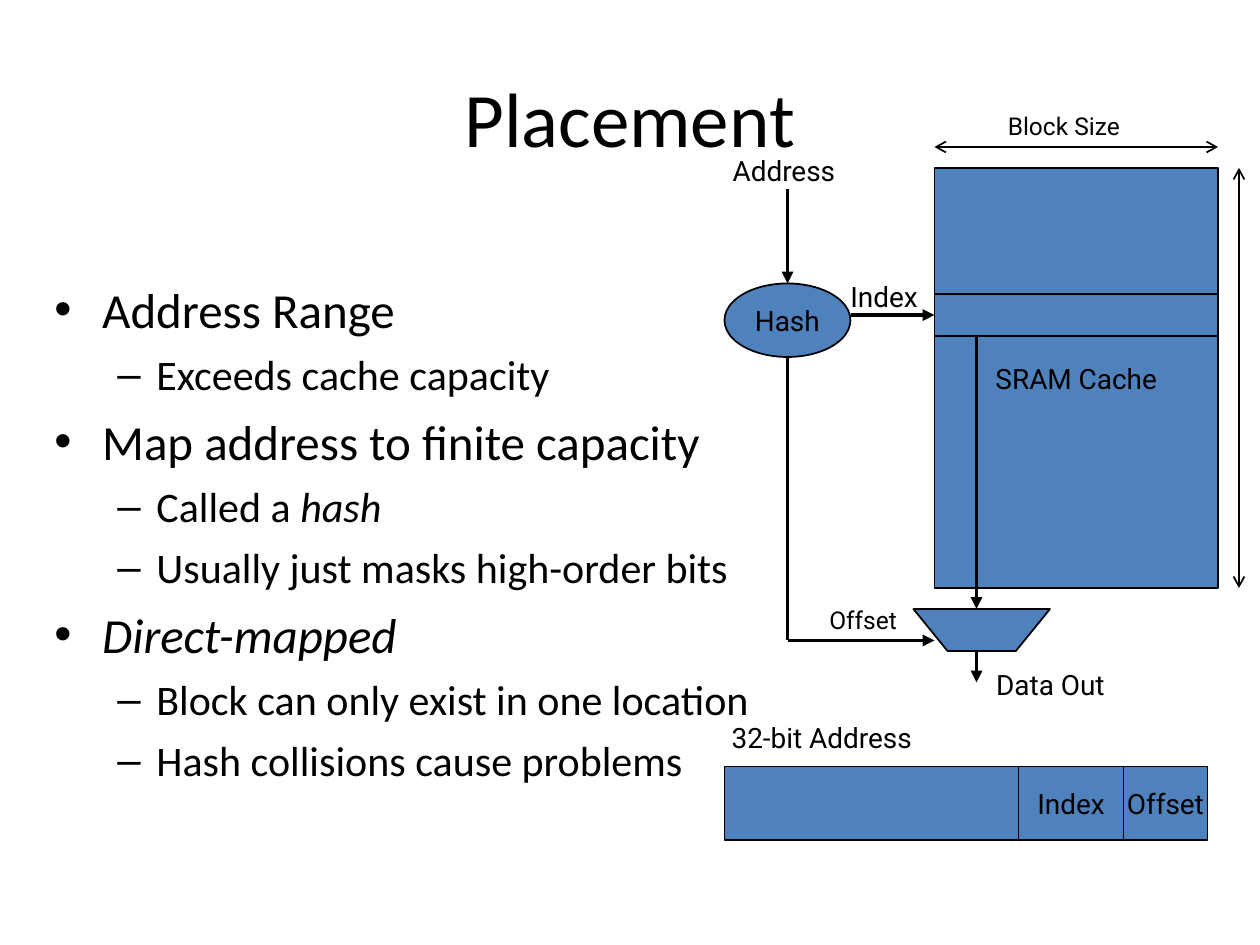
from collections import namedtuple

from lxml import etree
from pptx import Presentation
from pptx.dml.color import RGBColor
from pptx.enum.shapes import MSO_CONNECTOR, MSO_SHAPE
from pptx.enum.text import MSO_ANCHOR, MSO_AUTO_SIZE, PP_ALIGN
from pptx.oxml.ns import qn
from pptx.util import Inches, Pt

RECTANGLE, OVAL = MSO_SHAPE.RECTANGLE, MSO_SHAPE.OVAL
STRAIGHT = MSO_CONNECTOR.STRAIGHT
MIDDLE, CENTER = MSO_ANCHOR.MIDDLE, PP_ALIGN.CENTER
GROW = MSO_AUTO_SIZE.SHAPE_TO_FIT_TEXT
LEFT_SIDE = 1

CELL = Inches(1) / 12
COLUMNS, ROWS = 120, 90
BLUE, BLACK = "4F81BD", "000000"
TITLE_FONT, LABEL_FONT = "Calibri", "Roboto"
THIN, THICK = 1, 2.25

Box = namedtuple("Box", "left top width height")

BULLETS = [
    (0, [("Address Range", False)]),
    (1, [("Exceeds cache capacity", False)]),
    (0, [("Map address to finite capacity", False)]),
    (1, [("Called a ", False), ("hash", True)]),
    (1, [("Usually just masks high-order bits", False)]),
    (0, [("Direct-mapped", True)]),
    (1, [("Block can only exist in one location", False)]),
    (1, [("Hash collisions cause problems", False)]),
]
LEVELS = [
    {"size": 28, "before": 7, "margin": 0.38, "indent": -0.38, "bullet": "•"},
    {"size": 24, "before": 6, "margin": 0.81, "indent": -0.31, "bullet": "–"},
]


def color(value):
    """Turn a hex string into a colour."""
    return RGBColor.from_string(value)


def cells(*values):
    """Turn grid cells into slide lengths."""
    return [round(value * CELL) for value in values]


def inside(box, left, top, width, height):
    """Return a box placed relative to the corner of another."""
    return Box(box.left + left, box.top + top, width, height)


def format_run(run, size, font, italic=False):
    """Set the font of one run."""
    run.font.size = Pt(size)
    run.font.name = font
    run.font.italic = italic
    run.font.color.rgb = color(BLACK)


def paint(shape):
    """Give a shape the diagram's fill and outline."""
    shape.shadow.inherit = False
    shape.fill.solid()
    shape.fill.fore_color.rgb = color(BLUE)
    shape.line.color.rgb = color(BLACK)
    shape.line.width = Pt(THIN)


def write_line(shape, text, size, font):
    """Write one unwrapped line of text."""
    shape.text_frame.word_wrap = False
    paragraph = shape.text_frame.paragraphs[0]
    paragraph.text = text
    format_run(paragraph.runs[0], size, font)
    return paragraph


def add_block(slide, kind, box, text=""):
    """Add a filled shape with optional centred text."""
    shape = slide.shapes.add_shape(kind, *cells(*box))
    paint(shape)
    if text:
        shape.text_frame.vertical_anchor = MIDDLE
        write_line(shape, text, 16, LABEL_FONT).alignment = CENTER
    return shape


def add_label(slide, box, text, size=16):
    """Add a free-standing label."""
    shape = slide.shapes.add_textbox(*cells(*box))
    write_line(shape, text, size, LABEL_FONT)
    shape.text_frame.auto_size = GROW


def add_line(slide, box, ends, width=THICK, head=None, tail="triangle"):
    """Add a line between two points of a box's grid."""
    x1, y1, x2, y2 = ends
    points = cells(box.left + x1, box.top + y1, box.left + x2, box.top + y2)
    connector = slide.shapes.add_connector(STRAIGHT, *points)
    connector.line.color.rgb = color(BLACK)
    connector.line.width = Pt(width)
    properties = connector._element.spPr
    outline = properties.find(qn("a:ln"))
    for tag, arrow in (("a:headEnd", head), ("a:tailEnd", tail)):
        if arrow:
            etree.SubElement(outline, qn(tag), type=arrow)
    etree.SubElement(properties, qn("a:effectLst"))
    return connector


def add_title(slide, box):
    """Add the centred title."""
    shape = slide.shapes.add_textbox(*cells(*box))
    shape.text_frame.vertical_anchor = MIDDLE
    write_line(shape, "Placement", 44, TITLE_FONT).alignment = CENTER
    shape.text_frame.word_wrap = True


def add_bullets(slide, box):
    """Add the two-level bullet list."""
    frame = slide.shapes.add_textbox(*cells(*box)).text_frame
    frame.word_wrap = True
    for number, (level, pieces) in enumerate(BULLETS):
        paragraph = frame.add_paragraph() if number else frame.paragraphs[0]
        style = LEVELS[level]
        paragraph.level = level
        paragraph.space_before = Pt(style["before"])
        for text, italic in pieces:
            run = paragraph.add_run()
            run.text = text
            format_run(run, style["size"], TITLE_FONT, italic)
        properties = paragraph._p.get_or_add_pPr()
        properties.set("marL", str(Inches(style["margin"])))
        properties.set("indent", str(Inches(style["indent"])))
        etree.SubElement(properties, qn("a:buFont"), typeface="Arial")
        etree.SubElement(properties, qn("a:buChar"), char=style["bullet"])


def add_selector(slide, box):
    """Add the trapezoid that picks a word from the block."""
    inset = box.width / 4
    right, bottom = box.left + box.width, box.top + box.height
    builder = slide.shapes.build_freeform(*cells(box.left, box.top))
    corners = [(box.left + inset, bottom), (right - inset, bottom), (right, box.top)]
    builder.add_line_segments([cells(*corner) for corner in corners], close=True)
    paint(builder.convert_to_shape())


def add_datapath(slide, box):
    """Add the hash, cache and selector with their wiring."""
    add_block(slide, RECTANGLE, inside(box, 20, 6, 27, 40), "SRAM Cache")
    slot = add_block(slide, RECTANGLE, inside(box, 20, 18, 27, 4))
    add_block(slide, OVAL, inside(box, 0, 17, 12, 7), "Hash")
    add_selector(slide, inside(box, 18, 48, 13, 4))

    index_arrow = add_line(slide, box, (12, 20, 20, 20))
    index_arrow.end_connect(slot, LEFT_SIDE)
    for ends in [(6, 8, 6, 17), (24, 22, 24, 48), (24, 52, 24, 55), (6, 51, 20, 51)]:
        add_line(slide, box, ends)
    add_line(slide, box, (6, 24, 6, 51), tail=None)
    for ends in [(20, 4, 47, 4), (49, 6, 49, 46)]:
        add_line(slide, box, ends, THIN, "arrow", "arrow")

    for text, left, top, width, size in [
        ("Address", -0.4, 4, 12.5, 16),
        ("Index", 10.8, 16, 9.5, 16),
        ("Data Out", 24.7, 53, 13.7, 16),
        ("Offset", 8.8, 47, 9.1, 14),
        ("Block Size", 25.8, 0, 13.2, 14),
    ]:
        add_label(slide, inside(box, left, top, width, 4.4), text, size)


def add_address(slide, box):
    """Add the address bar split into its fields."""
    add_label(slide, inside(box, -0.5, 0, 20.4, 4.4), "32-bit Address")
    left = 0
    for text, width in [("", 28), ("Index", 10), ("Offset", 8)]:
        field = inside(box, left, 5, width, box.height - 5)
        add_block(slide, RECTANGLE, field, text)
        left += width


def main():
    """Build the slide and save it."""
    presentation = Presentation()
    presentation.slide_width, presentation.slide_height = cells(COLUMNS, ROWS)
    slide = presentation.slides.add_slide(presentation.slide_layouts[6])
    add_title(slide, Box(6, 3.6, 108, 15))
    add_bullets(slide, Box(4, 26, 72, 54))
    add_datapath(slide, Box(69, 10, 49, 55))
    add_address(slide, Box(69, 68, 46, 12))
    presentation.save("out.pptx")


if __name__ == "__main__":
    main()
